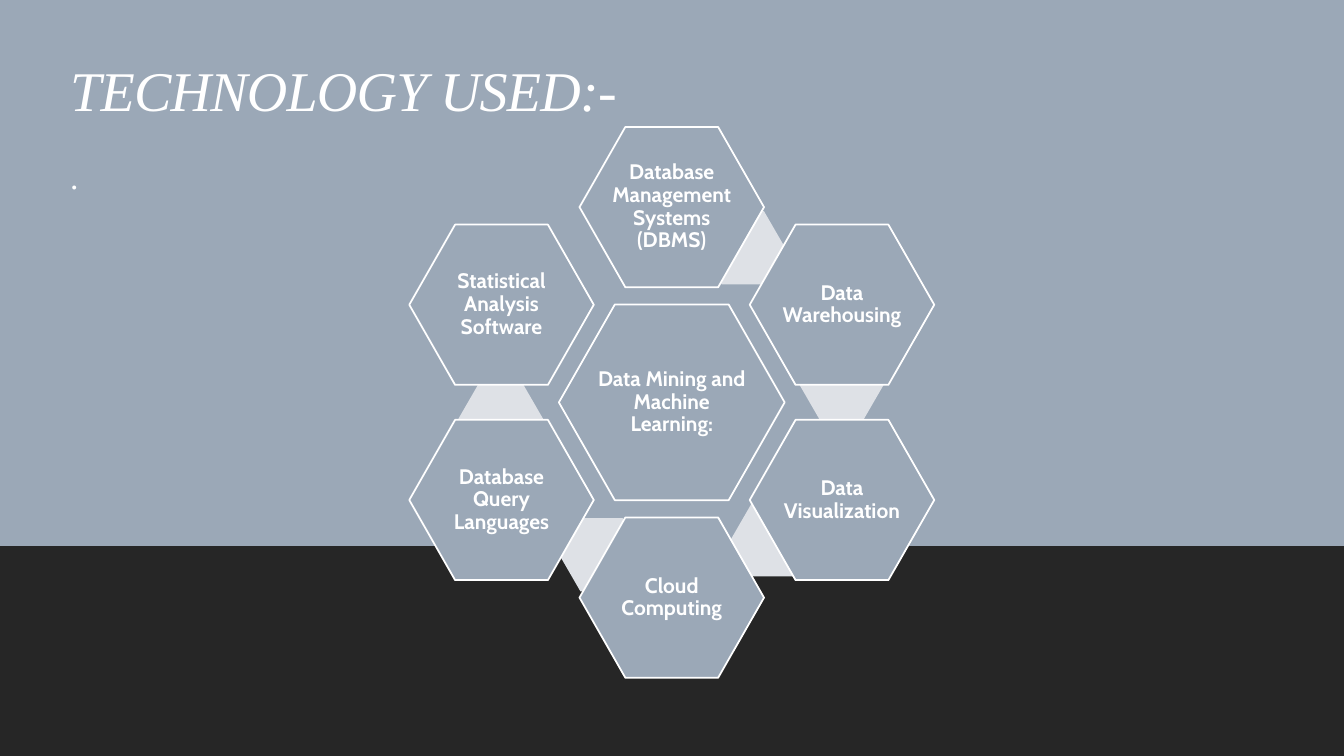
from pptx import Presentation
from pptx.dml.color import RGBColor
from pptx.enum import shapes, text as txt
from pptx.util import Cm, Pt

WHITE = RGBColor(0xFF, 0xFF, 0xFF)
BLUE = RGBColor(0x9B, 0xA8, 0xB7)
PALE = RGBColor(0xDE, 0xE1, 0xE6)
DARK = RGBColor(0x26, 0x26, 0x26)

KIND = shapes.MSO_SHAPE
MID_X, MID_Y = 16.93, 10.14
STEP_X, STEP_Y = 4.29, 2.46

# label, column, row, centre of the bridge behind it
RING = [
    ("Database Management Systems (DBMS)", 0, -2, (18.72, 6.24)),
    ("Data Warehousing", 1, -1, (21.21, 9.69)),
    ("Data Visualization", 1, 1, (19.48, 13.6)),
    ("Cloud Computing", 0, 2, (15.16, 13.98)),
    ("Database Query Languages", -1, 1, (12.62, 10.55)),
    ("Statistical Analysis Software", -1, -1, None),
]


def write(frame, words, size, font="Times New Roman", bold=False, italic=False,
          track=0, align=txt.PP_ALIGN.LEFT, anchor=txt.MSO_ANCHOR.MIDDLE,
          lead=0.9, before=0, after=0):
    frame.word_wrap = True
    frame.vertical_anchor = anchor
    para = frame.paragraphs[0]
    para.alignment = align
    para.line_spacing = lead
    para.space_before = Pt(before)
    para.space_after = Pt(after)
    run = para.add_run()
    run.text = words
    run.font.size = Pt(size)
    run.font.name = font
    run.font.bold = bold
    run.font.italic = italic
    run.font.color.rgb = WHITE
    if track:
        run.font._element.set("spc", str(int(track * 100)))


def block(slide, kind, left, top, width, height, fill):
    shape = slide.shapes.add_shape(kind, Cm(left), Cm(top), Cm(width), Cm(height))
    shape.shadow.inherit = False
    shape.fill.solid()
    shape.fill.fore_color.rgb = fill
    shape.line.fill.background()
    return shape


def label(slide, words, left, top, width, height, **form):
    box = slide.shapes.add_textbox(Cm(left), Cm(top), Cm(width), Cm(height))
    write(box.text_frame, words, **form)


def hexa(slide, x, y, width, height, fill, adj):
    shape = block(slide, KIND.HEXAGON, x - width / 2, y - height / 2,
                  width, height, fill)
    shape.adjustments[0] = adj
    return shape


def cell(slide, words, x, y, width, height):
    shape = hexa(slide, x, y, width, height, BLUE, 0.286)
    shape.line.color.rgb = WHITE
    shape.line.width = Pt(1.25)
    frame = shape.text_frame
    frame.margin_left = frame.margin_right = 0
    frame.margin_top = frame.margin_bottom = 0
    write(frame, words, size=15, font="Cabin", bold=True,
          align=txt.PP_ALIGN.CENTER)


def main():
    deck = Presentation()
    deck.slide_width, deck.slide_height = Cm(33.87), Cm(19.05)
    slide = deck.slides.add_slide(deck.slide_layouts[6])

    block(slide, KIND.RECTANGLE, 0, 0, 33.87, 19.05, BLUE)
    label(slide, "TECHNOLOGY USED:-", 1.52, 0.99, 27.94, 2.74,
          size=40, italic=True, track=-0.5)
    block(slide, KIND.RECTANGLE, 0, 13.76, 33.87, 5.29, DARK)
    label(slide, ".", 1.52, 3.71, 1.68, 3, size=24, track=2, lead=1.1,
          before=12, after=2, anchor=txt.MSO_ANCHOR.TOP)

    cell(slide, "Data Mining and Machine Learning:", MID_X, MID_Y, 5.69, 4.93)
    for words, col, row, bridge in RING:
        if bridge:
            hexa(slide, *bridge, 2.13, 1.85, PALE, 0.289)
        cell(slide, words, MID_X + col * STEP_X, MID_Y + row * STEP_Y, 4.65, 4.04)

    deck.save("out.pptx")


if __name__ == "__main__":
    main()
